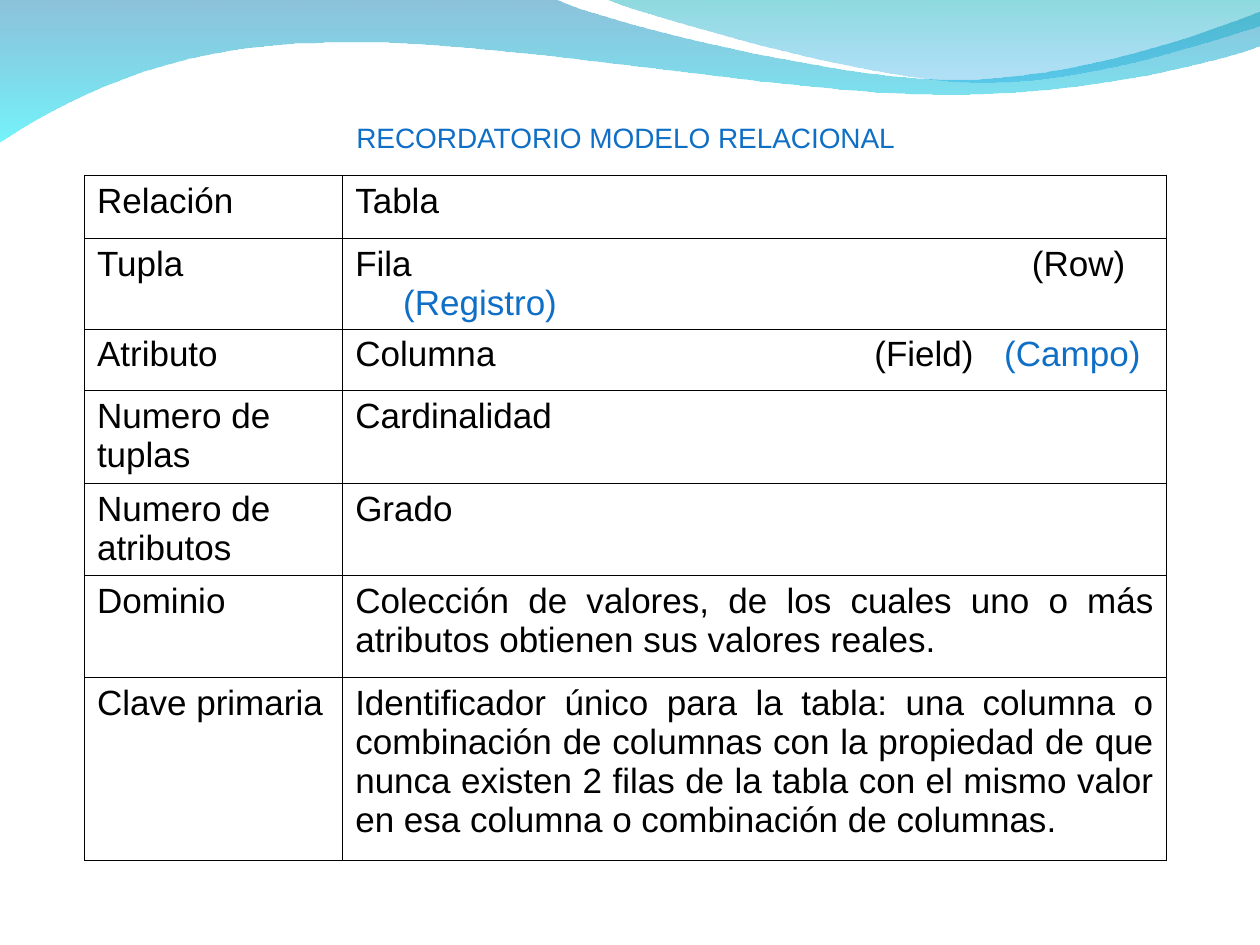
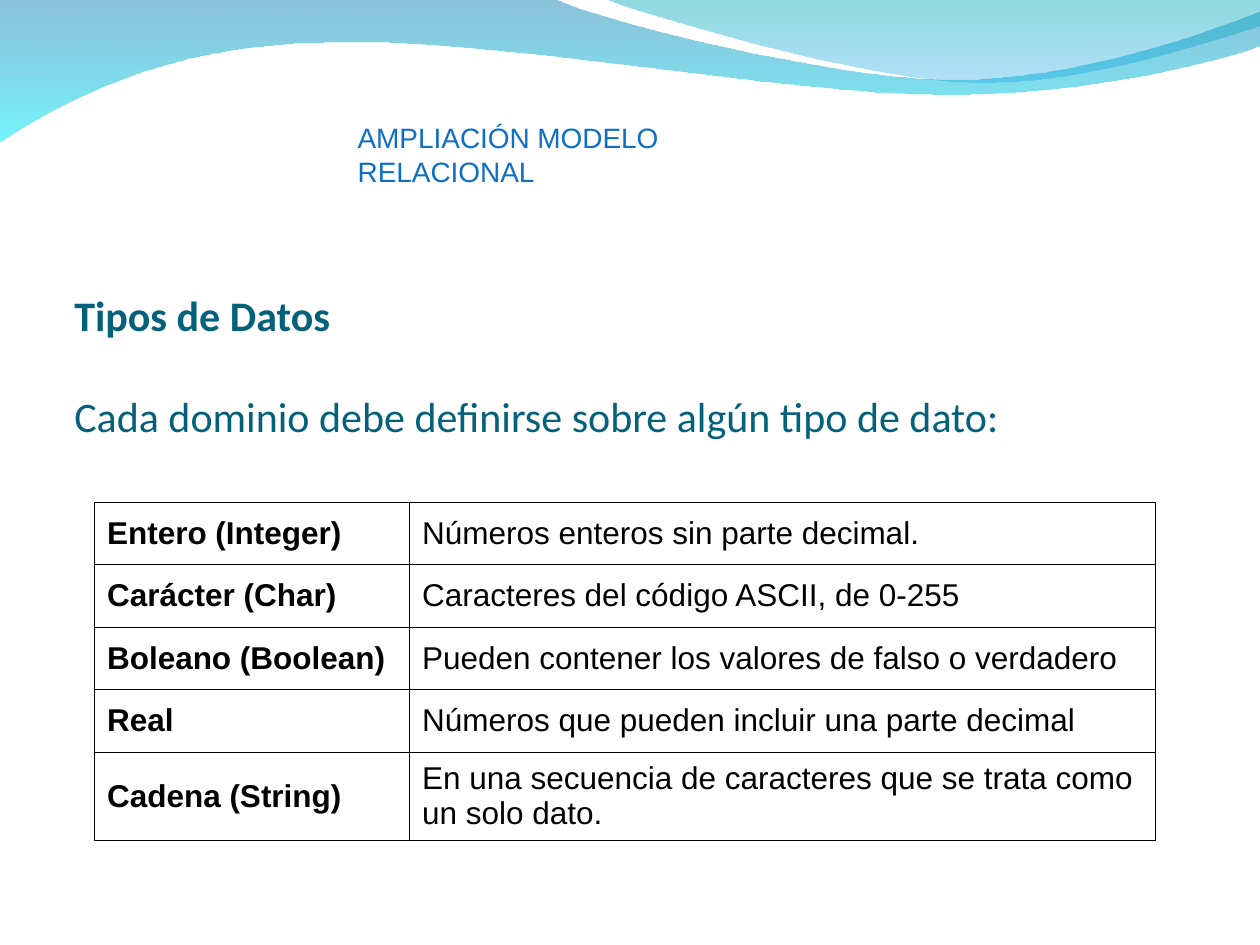
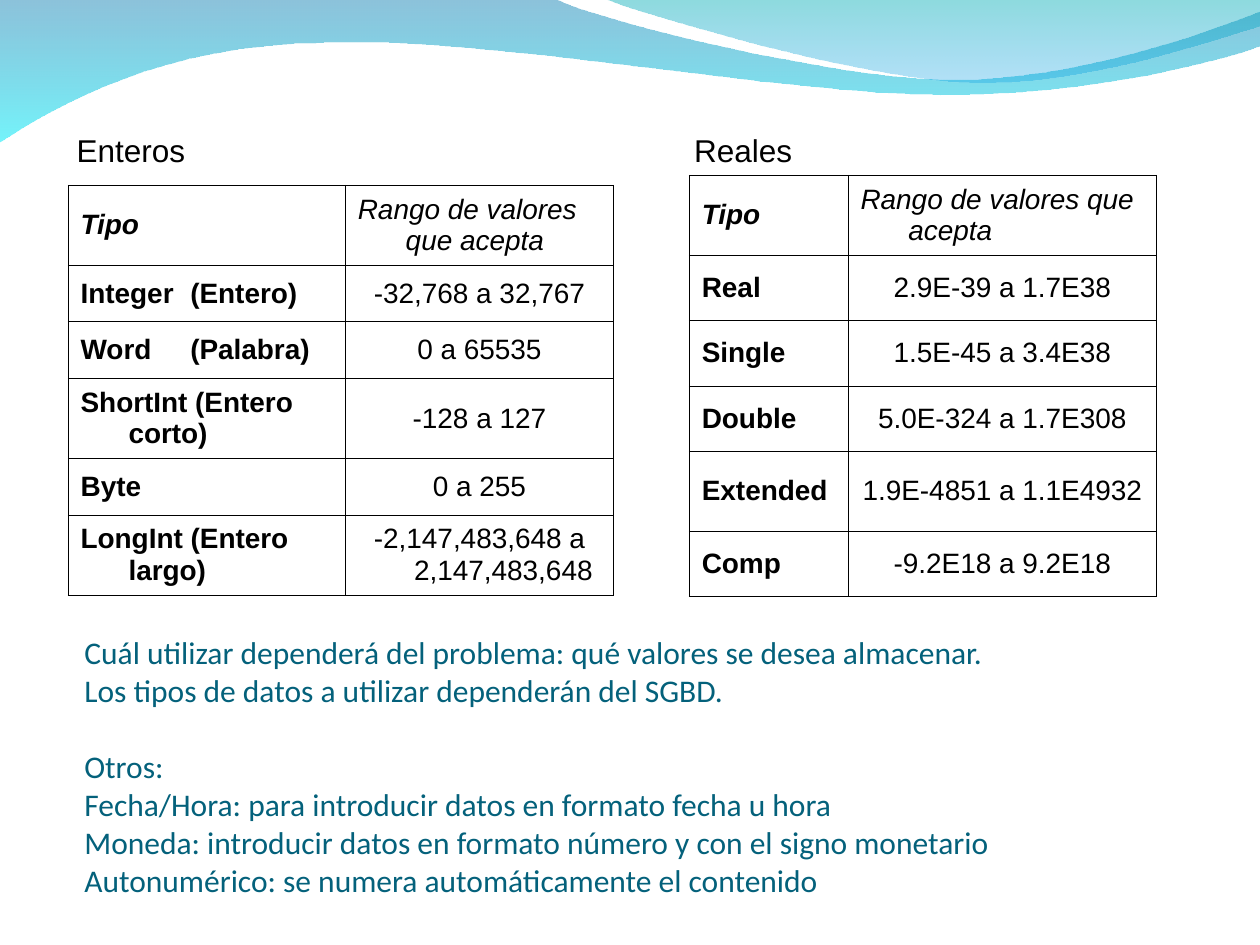
from dataclasses import dataclass
from lxml import etree
from pptx import Presentation
from pptx.dml.color import RGBColor
from pptx.enum.text import MSO_ANCHOR, PP_ALIGN
from pptx.oxml.ns import qn
from pptx.util import Inches, Pt

LEFT, MID, JUST = PP_ALIGN.LEFT, PP_ALIGN.CENTER, PP_ALIGN.JUSTIFY
TOP, CENTER, BOTTOM = MSO_ANCHOR.TOP, MSO_ANCHOR.MIDDLE, MSO_ANCHOR.BOTTOM


@dataclass(frozen=True)
class Theme:
    ink: str = "000000"
    blue: str = "0F6FC6"
    teal: str = "04617B"
    sans: str = "Arial"
    body: str = "Calibri"
    small: int = 16
    text: int = 18
    large: int = 20
    head: int = 24
    hang: float = 0.38
    curve: int = 16


T = Theme()

# Each wave: start, segments (2 numbers: line, 6: curve), gradient of (colour, opacity)
WAVES = [
    ((0, -0.01),
     [(4.4, -0.01), (4.76, 0.17, 6.64, 0.63, 7.58, 0.63),
      (8.53, 0.63, 9.58, 0.26, 10, 0.09), (10.01, 0.36),
      (9.83, 0.44, 8.7, 0.76, 7.46, 0.75), (6.22, 0.75, 3.82, 0.28, 2.57, 0.34),
      (1.29, 0.35, 0.46, 0.83, -0.01, 1.13)],
     [("0079AF", 45), ("00EBF8", 55)]),
    ((4.79, -0.01),
     [(5.09, 0.11, 6.82, 0.62, 7.69, 0.65), (8.56, 0.69, 9.61, 0.32, 10, 0.21), (10, 0)],
     [("00ADB6", 45), ("009BE5", 30)]),
]

# In cell text, "|" switches to the accent colour; a pair is (text, tab stops).
MODEL = [
    ("Relación", "Tabla"),
    ("Tupla", ("Fila\t(Row)\n\t|(Registro)", (T.hang, 5.37))),
    ("Atributo", ("Columna\t(Field)\t|(Campo)", (4.12, 5.15))),
    ("Numero de tuplas", "Cardinalidad"),
    ("Numero de atributos", "Grado"),
    ("Dominio", "Colección de valores, de los cuales uno o más atributos obtienen "
                "sus valores reales."),
    ("Clave primaria", "Identificador único para la tabla: una columna o combinación de "
                       "columnas con la propiedad de que nunca existen 2 filas de la tabla "
                       "con el mismo valor en esa columna o combinación de columnas."),
]
TYPES = [
    ("Entero (Integer)", "Números enteros sin parte decimal."),
    ("Carácter (Char)", "Caracteres del código ASCII, de 0-255"),
    ("Boleano (Boolean)", "Pueden contener los valores de falso o verdadero"),
    ("Real", "Números que pueden incluir una parte decimal"),
    ("Cadena (String)", "En una secuencia de caracteres que se trata como un solo dato."),
]
HEADER = ("Tipo", "Rango de valores que acepta")
WHOLE = [
    HEADER,
    (("Integer\t(Entero)", (0.87,)), "-32,768 a 32,767"),
    (("Word\t(Palabra)", (0.87,)), "0 a 65535"),
    ("ShortInt (Entero corto)", "-128 a 127"),
    ("Byte", "0 a 255"),
    ("LongInt (Entero largo)", "-2,147,483,648 a 2,147,483,648"),
]
REALS = [
    HEADER,
    ("Real", "2.9E-39 a 1.7E38"),
    ("Single", "1.5E-45 a 3.4E38"),
    ("Double", "5.0E-324 a 1.7E308"),
    ("Extended", "1.9E-4851 a 1.1E4932"),
    ("Comp", "-9.2E18 a 9.2E18"),
]
RANGE = dict(size=T.small, bold=True, align=MID, hang=T.hang, header=True)

# Labels: (text, place, size, colour); notes: (lines, place, size), line = (text, bold, gap)
SLIDES = [
    dict(
        tables=[dict(rows=MODEL, at=(0.67, 1.39), cols=(2.05, 6.54),
                     highs=(0.5, 0.72, 0.49, 0.74, 0.73, 0.81, 1.45),
                     size=T.large, align=JUST, anchor=TOP, edge=0.45)],
        labels=[("RECORDATORIO MODELO RELACIONAL", (2.73, 0.91, 4.5, 0.37), T.small, T.blue)],
    ),
    dict(
        notes=([("Tipos de Datos", True, 0),
                ("Cada dominio debe definirse sobre algún tipo de dato:", False, 29)],
               (0.59, 2.25, 9, 1.25), T.head),
        tables=[dict(rows=TYPES, at=(0.75, 3.99), cols=(2.5, 5.92),
                     highs=(0.49, 0.5, 0.49, 0.5, 0.7), size=T.text, bold=True)],
        labels=[("AMPLIACIÓN MODELO RELACIONAL", (2.74, 0.91, 4.05, 0.37), T.small, T.blue)],
    ),
    dict(
        notes=([("Cuál utilizar dependerá del problema: qué valores se desea almacenar.", False, 0),
                ("Los tipos de datos a utilizar dependerán del SGBD.", False, 0),
                ("Otros:", False, 22),
                ("Fecha/Hora: para introducir datos en formato fecha u hora", False, 0),
                ("Moneda: introducir datos en formato número y con el signo monetario", False, 0),
                ("Autonumérico: se numera automáticamente el contenido", False, 0)],
               (0.67, 4.93, 9, 2.2), T.text),
        tables=[dict(rows=WHOLE, at=(0.54, 1.47), cols=(2.2, 2.13),
                     highs=(0.63, 0.45, 0.45, 0.63, 0.45, 0.63), **RANGE),
                dict(rows=REALS, at=(5.47, 1.39), cols=(1.26, 2.45),
                     highs=(0.63, 0.52, 0.52, 0.52, 0.63, 0.52), **RANGE)],
        labels=[("Enteros", (0.51, 0.99, 1.06, 0.4), T.text, T.ink),
                ("Reales", (5.41, 0.99, 0.98, 0.4), T.text, T.ink)],
    ),
]


def put(obj, **vals):
    for key, val in vals.items():
        setattr(obj, key, val)


def add_run(para, text, size, color, name=T.sans, bold=False, italic=False):
    run = para.add_run()
    run.text = text
    put(run.font, size=Pt(size), name=name, bold=bold, italic=italic)
    run.font.color.rgb = RGBColor.from_string(color)


def trace(start, parts):
    """Turn lines and cubic curves into a list of points."""
    pts = [start]
    for part in parts:
        if len(part) == 2:
            pts.append(part)
            continue
        ctrl = [pts[-1], part[:2], part[2:4], part[4:]]
        for step in range(1, T.curve + 1):
            t = step / T.curve
            mix = ((1 - t) ** 3, 3 * t * (1 - t) ** 2, 3 * t * t * (1 - t), t ** 3)
            pts.append(tuple(sum(m * c[axis] for m, c in zip(mix, ctrl)) for axis in (0, 1)))
    return pts


def add_waves(slide, layout):
    """Draw the waves and hand them to the layout that all slides share."""
    for start, parts, stops in WAVES:
        pts = [(Inches(x), Inches(y)) for x, y in trace(start, parts)]
        pen = slide.shapes.build_freeform(*pts[0])
        pen.add_line_segments(pts[1:], close=True)
        wave = pen.convert_to_shape()
        wave.shadow.inherit = False
        wave.line.fill.background()
        wave.fill.gradient()
        wave.fill.gradient_angle = 270
        for stop, (color, _) in zip(wave.fill.gradient_stops, stops):
            stop.color.rgb = RGBColor.from_string(color)
        for node, (_, alpha) in zip(wave.element.iter(qn("a:srgbClr")), stops):
            etree.SubElement(node, qn("a:alpha"), val=str(alpha * 1000))
        layout.shapes.element.append(wave.element)


def add_box(slide, place):
    return slide.shapes.add_textbox(*map(Inches, place)).text_frame


def add_label(slide, text, place, size, color):
    frame = add_box(slide, place)
    frame.word_wrap = False
    add_run(frame.paragraphs[0], text, size, color)


def add_notes(slide, lines, place, size):
    frame = add_box(slide, place)
    put(frame, word_wrap=True, vertical_anchor=BOTTOM, margin_left=0, margin_right=0,
        margin_top=Inches(0.05), margin_bottom=0)
    for num, (text, bold, gap) in enumerate(lines):
        para = frame.add_paragraph() if num else frame.paragraphs[0]
        if gap:
            para.space_before = Pt(gap)
        add_run(para, text, size, T.teal, T.body, bold)


def add_edges(cell, width):
    props = cell._tc.get_or_add_tcPr()
    for side in ("lnL", "lnR", "lnT", "lnB"):
        line = etree.SubElement(props, qn("a:" + side), w=str(Pt(width)))
        fill = etree.SubElement(line, qn("a:solidFill"))
        etree.SubElement(fill, qn("a:srgbClr"), val=T.ink)


def set_indent(para, hang, tabs):
    props = para._p.get_or_add_pPr()
    if tabs:
        stops = etree.SubElement(props, qn("a:tabLst"))
        for tab in tabs:
            etree.SubElement(stops, qn("a:tab"), pos=str(Inches(tab)), algn="l")
    elif hang:
        props.set("marL", str(Inches(hang)))
        props.set("indent", str(-Inches(hang)))


def fill_cell(cell, entry, align, hang, **font):
    text, tabs = (entry, ()) if isinstance(entry, str) else entry
    for num, line in enumerate(text.split("\n")):
        para = cell.text_frame.add_paragraph() if num else cell.text_frame.paragraphs[0]
        set_indent(para, hang, tabs)
        para.alignment = LEFT if tabs else align
        for pos, part in enumerate(line.split("|")):
            add_run(para, part, color=T.blue if pos else T.ink, **font)


def add_grid(slide, rows, at, cols, highs, size, bold=False, align=LEFT,
             anchor=CENTER, edge=0.34, hang=0, header=False):
    place = map(Inches, (*at, sum(cols), sum(highs)))
    table = slide.shapes.add_table(len(rows), len(cols), *place).table
    put(table, first_row=False, horz_banding=False)
    for col, width in zip(table.columns, cols):
        col.width = Inches(width)
    for r, (row, high) in enumerate(zip(rows, highs)):
        table.rows[r].height = Inches(high)
        top = header and r == 0
        for c, entry in enumerate(row):
            cell = table.cell(r, c)
            cell.vertical_anchor = anchor
            add_edges(cell, edge)
            cell.fill.background()
            fill_cell(cell, entry, LEFT if top or c == 0 else align, hang,
                      size=size, bold=bold and c == 0, italic=top)


def main():
    deck = Presentation()
    put(deck, slide_width=Inches(10), slide_height=Inches(7.5))
    blank = deck.slide_layouts[6]
    for holder in list(blank.placeholders):
        blank.shapes.element.remove(holder.element)
    for num, page in enumerate(SLIDES):
        slide = deck.slides.add_slide(blank)
        if num == 0:
            add_waves(slide, blank)
        if "notes" in page:
            add_notes(slide, *page["notes"])
        for grid in page["tables"]:
            add_grid(slide, **grid)
        for label in page["labels"]:
            add_label(slide, *label)
    deck.save("out.pptx")


if __name__ == "__main__":
    main()
